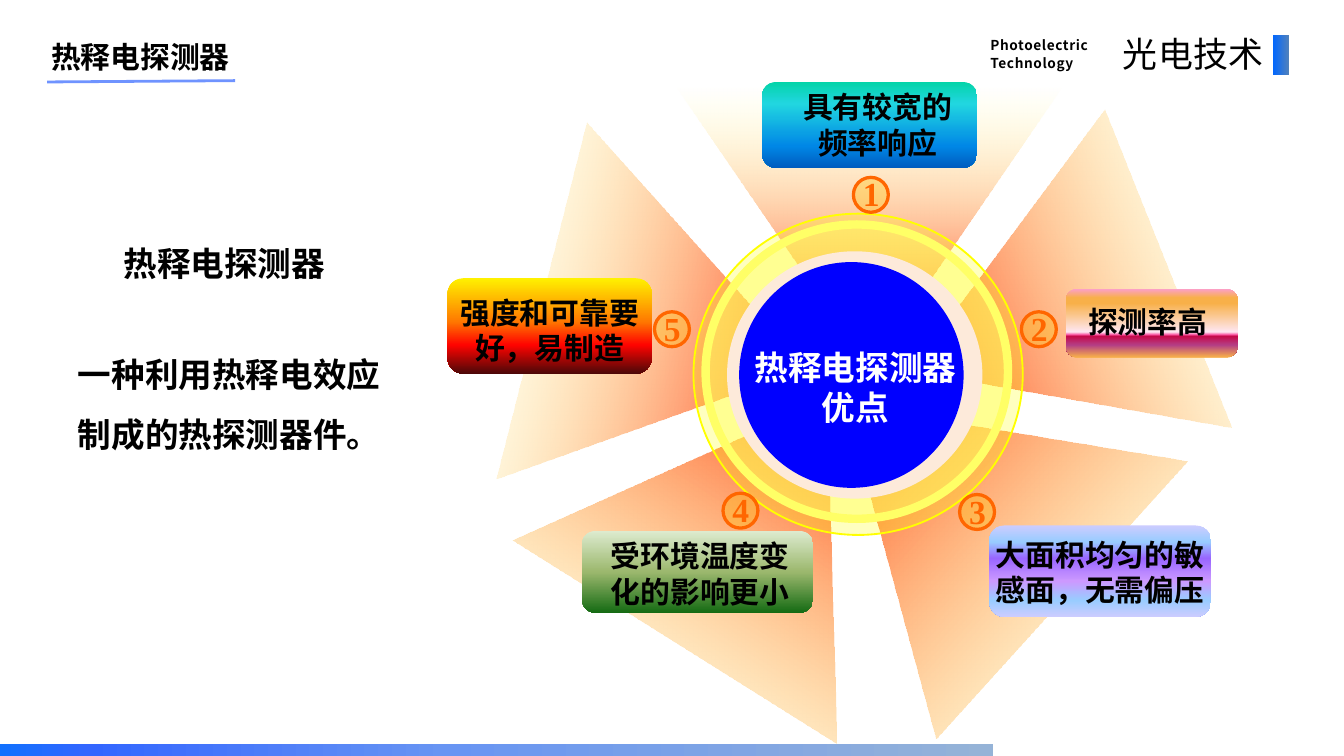
from lxml import etree
from pptx import Presentation
from pptx import util as u
from pptx.dml.color import RGBColor
from pptx.enum import shapes, text
from pptx.oxml import ns

COLORS = {
    "black": "000000", "white": "FFFFFF", "blue": "0000FF", "red": "FF0000",
    "yellow": "FFFF00", "lemon": "FFFF66", "cream": "FDEADA", "gold": "FFC000",
    "orange": "FF6600", "royal": "3366FF",
}
CJK, SERIF = "Noto Sans CJK SC", "Times New Roman"
CELL = u.Inches(0.1)  # side of a square grid cell
COLUMNS, ROWS = 100, 56.25  # a 16:9 slide
TEXT_INSET = (1, 0.5, 1, 0.5)
HEADER_INSET = (0.7, 0.3, 0.7, 0.3)
NO_INSET = (0, 0, 0, 0)

# Rays around the hub: box, rotation
RAYS = [
    ((64.6, 13.5, 25.5, 20.6), 248.3),
    ((50.3, 6.5, 28.7, 20.9), 180),
    ((36.5, 14.7, 27.3, 20.3), 104.2),
    ((57, 26.5, 27.9, 21.7), 312.1),
    ((41.6, 28.1, 28.5, 21.3), 32.1),
]
# Rings and disc: box, colour, opacity, line width
RINGS = [
    ((51.6, 15.9, 24.5, 23.9), "yellow", 25, 1),
    ((52.5, 16.7, 22.5, 21.9), "lemon", 50, 4.5),
    ((54.1, 18.7, 19, 18.4), "cream", 100, None),
    ((55, 19.5, 16.7, 16.8), "blue", 100, None),
]
# Advantages: wording, card box, text box, gradient, badge corner
ADVANTAGES = [
    (["具有较宽的", "频率响应"], (56.7, 6.1, 16, 6.4), (56.7, 6.6, 17.2, 5.4),
     [(0, "03D4A8"), (25, "21D6E0"), (75, "0087E6"), (100, "005CBF")], (63.5, 13.2)),
    (["探测率高"], (79.3, 21.5, 12.8, 5.1), (79.3, 22.6, 12.2, 2.7),
     [(0, "FC9FCB"), (13, "F8B049"), (21, "F8B049"), (63, "FEE7F2"), (67, "F952A0"),
      (69, "C50849"), (82, "B43E85"), (100, "F8B049")], (76, 23.2)),
    (["大面积均匀的敏感面，无需偏压"], (73.6, 39.1, 16.5, 6.8), (73.6, 39.9, 16.5, 5.4),
     [(0, "CCCCFF"), (18, "99CCFF"), (36, "9966FF"), (61, "CC99FF"), (82, "99CCFF"),
      (100, "CCCCFF")], (71.4, 36.8)),
    (["受环境温度变化的影响更小"], (43.3, 39.5, 17.2, 6.1), (44.5, 40, 15.2, 5.4),
     [(0, "DDEBCF"), (50, "9CB86E"), (100, "156B13")], (53.8, 36.7)),
    (["强度和可靠要好，易制造"], (33.3, 20.7, 15.2, 7.1), (33.3, 21.9, 15.2, 5.4),
     [(0, "FFF200"), (45, "FF7A00"), (70, "FF0300"), (100, "4D0808")], (48.7, 23.2)),
]


def rgb(color):
    return RGBColor.from_string(COLORS.get(color, color))


def set_alpha(parent, percent):
    """Make every colour below parent show at percent opacity."""
    for clr in parent.iter(ns.qn("a:srgbClr")):
        etree.SubElement(clr, ns.qn("a:alpha")).set("val", str(percent * 1000))


def write(tf, lines, size=16, font=CJK, color="black", bold=True, align="LEFT",
          spacing=None, tracking=0, inset=TEXT_INSET):
    """Fill a text frame with one paragraph per line, all in one format."""
    tf.word_wrap = True
    tf.auto_size = text.MSO_AUTO_SIZE.SHAPE_TO_FIT_TEXT
    tf.vertical_anchor = text.MSO_ANCHOR.TOP
    tf.margin_left, tf.margin_top, tf.margin_right, tf.margin_bottom = (
        int(m * CELL) for m in inset)
    for i, line in enumerate(lines):
        p = tf.add_paragraph() if i else tf.paragraphs[0]
        pPr = p._p.get_or_add_pPr()
        pPr.set("marL", "0")
        pPr.set("indent", "0")
        etree.SubElement(pPr, ns.qn("a:buNone"))
        p.alignment = getattr(text.PP_ALIGN, align)
        p.space_before = u.Pt(0)
        if spacing:
            p.line_spacing = spacing
        r = p.add_run()
        r.text = line
        r.font.size, r.font.bold, r.font.name = u.Pt(size), bold, font
        r.font.color.rgb = rgb(color)
        rPr = r.font._element
        etree.SubElement(rPr, ns.qn("a:ea")).set("typeface", font)
        if tracking:
            rPr.set("spc", str(int(tracking * 100)))


class Deck:
    """Holds the current slide and draws styled elements on its grid."""

    def __init__(self, prs):
        self.s = prs.slides.add_slide(prs.slide_layouts[1])

    def place(self, box):
        return [round(v * CELL) for v in box]

    def placeholder(self, idx, box, lines, **fmt):
        sp = self.s.placeholders[idx]
        sp.left, sp.top, sp.width, sp.height = self.place(box)
        write(sp.text_frame, lines, **fmt)

    def label(self, box, lines, **fmt):
        sp = self.s.shapes.add_textbox(*self.place(box))
        write(sp.text_frame, lines, **fmt)

    def shape(self, kind, box, rotation=0):
        sp = self.s.shapes.add_shape(getattr(shapes.MSO_SHAPE, kind), *self.place(box))
        sp.shadow.inherit = False
        sp.line.fill.background()
        sp.rotation = rotation
        return sp

    def solid(self, kind, box, color, alpha=100, line=None, width=None):
        sp = self.shape(kind, box)
        sp.fill.solid()
        sp.fill.fore_color.rgb = rgb(color)
        if alpha < 100:
            set_alpha(sp._element.spPr, alpha)
        if width:
            sp.line.color.rgb = rgb(line or color)
            sp.line.width = u.Pt(width)

    def gradient(self, kind, box, stops, vertical=True, rotation=0):
        """Stops are (percent, colour) with an optional opacity."""
        sp = self.shape(kind, box, rotation)
        sp.fill.gradient()
        sp.fill.gradient_angle = 270 if vertical else 0
        gs_list = sp._element.spPr.find(".//" + ns.qn("a:gsLst"))
        for gs in list(gs_list):
            gs_list.remove(gs)
        for pos, color, *alpha in stops:
            gs = etree.SubElement(gs_list, ns.qn("a:gs"), pos=str(pos * 1000))
            etree.SubElement(gs, ns.qn("a:srgbClr"), val=COLORS.get(color, color))
            if alpha:
                set_alpha(gs, alpha[0])

    def line(self, start, end, color, width, alpha):
        c = self.s.shapes.add_connector(
            shapes.MSO_CONNECTOR.STRAIGHT, *self.place(start + end))
        c.line.color.rgb = rgb(color)
        c.line.width = u.Pt(width)
        set_alpha(c._element.spPr, alpha)
        etree.SubElement(c._element.spPr, ns.qn("a:effectLst"))

    def badge(self, number, left, top):
        self.solid("OVAL", (left, top, 2.6, 2.6), "gold", 33, "orange", 1.75)
        self.label((left + 0.7, top - 0.3, 2.5, 3), [str(number)], size=18,
                   font=SERIF, color="orange", inset=NO_INSET)


def main():
    prs = Presentation()
    prs.slide_width, prs.slide_height = COLUMNS * CELL, int(ROWS * CELL)
    deck = Deck(prs)

    deck.placeholder(0, (2.8, 2.4, 18.1, 3.7), ["热释电探测器"])
    deck.line((3.5, 6.1), (17.5, 6), "royal", 1.5, 70)
    deck.label((8.2, 17.6, 18.5, 4), ["热释电探测器"], size=18)
    deck.placeholder(1, (4.8, 24.3, 26.1, 10.1),
                     ["一种利用热释电效应制成的热探测器件。"], size=18, spacing=1.5)

    for box, rotation in RAYS:
        deck.gradient("ISOSCELES_TRIANGLE", box, [(0, "red"), (100, "lemon", 0)],
                      rotation=rotation)
    for box, color, alpha, width in RINGS:
        deck.solid("OVAL", box, color, alpha, width=width)
    deck.label((55.2, 25.8, 16.9, 6.1), ["热释电探测器", "优点"], size=18,
               color="white", align="CENTER", inset=NO_INSET)

    for number, (lines, card, box, stops, corner) in enumerate(ADVANTAGES, 1):
        deck.gradient("ROUNDED_RECTANGLE", card, stops)
        deck.label(box, lines, align="CENTER", inset=NO_INSET)
        deck.badge(number, *corner)

    deck.label((73, 2.4, 10.6, 3.1), ["Photoelectric", "Technology"], size=7.3,
               spacing=u.Pt(9.3), tracking=0.3, inset=HEADER_INSET)
    deck.label((82, 2.1, 12.7, 3.8), ["光电技术"], size=18.7, bold=False,
               align="RIGHT", tracking=0.1, inset=HEADER_INSET)
    deck.gradient("RECTANGLE", (94.7, 2.6, 1.2, 3), [(0, "0066FF"), (100, "4F81BD")],
                  vertical=False)
    deck.gradient("RECTANGLE", (0, ROWS - 0.9, 73.9, 0.9),
                  [(0, "1271FE"), (9, "royal"), (45, "6895F3"), (100, "95B3D7")],
                  vertical=False)
    prs.save("out.pptx")


if __name__ == "__main__":
    main()
